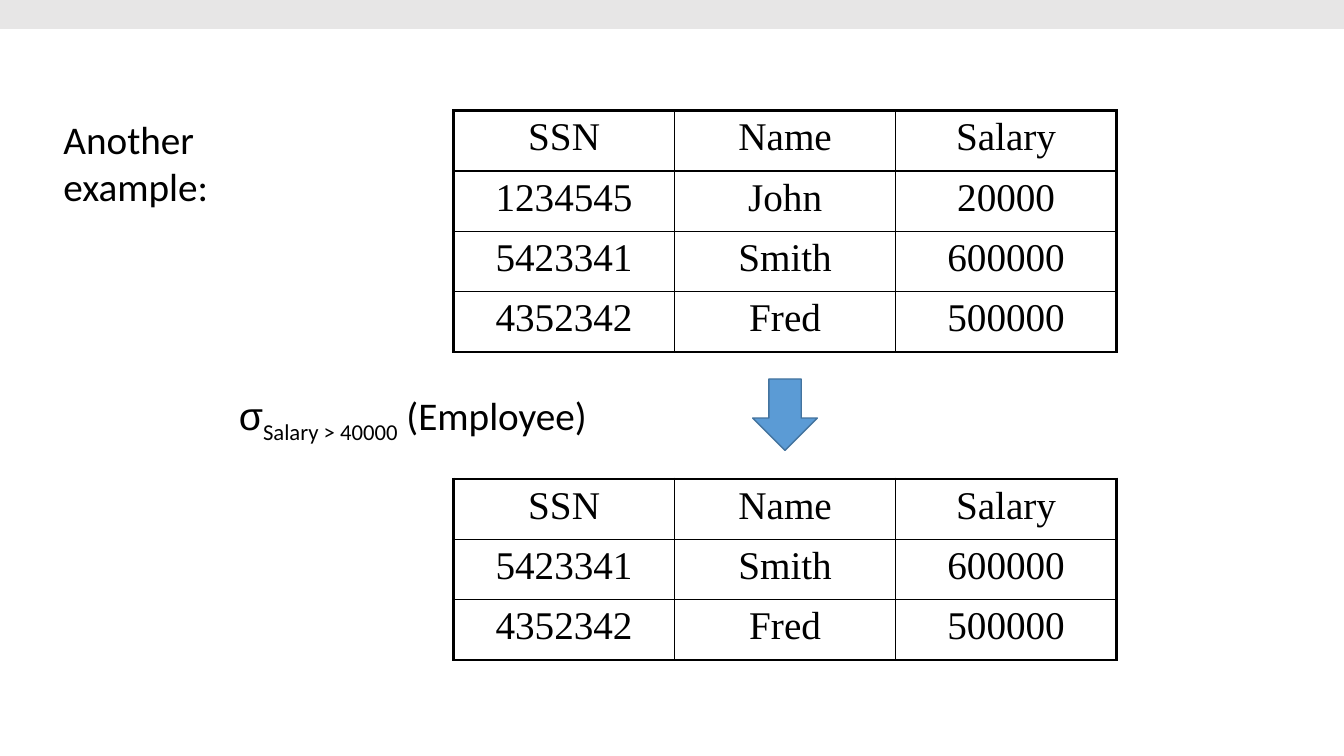
import pptx
import pptx.dml.color
import pptx.enum.shapes
import pptx.enum.text
import pptx.oxml
import pptx.oxml.ns
import pptx.util
from pptx.util import Cm

BLACK = "000000"
COLUMN_WIDTH, ROW_HEIGHT = 5.57, 1.52
THIN, THICK = 1, 2.25


def color(hex_string):
    """Turn a hex string into a colour."""
    return pptx.dml.color.RGBColor.from_string(hex_string)


def add_run(paragraph, text, font_name):
    """Add a black 28 point run to a paragraph and return it."""
    run = paragraph.add_run()
    run.text = text
    font_format = {"name": font_name, "size": pptx.util.Pt(28), "bold": False}
    for name, value in font_format.items():
        setattr(run.font, name, value)
    run.font.color.rgb = color(BLACK)
    return run


presentation = pptx.Presentation()
presentation.slide_width, presentation.slide_height = Cm(33.87), Cm(19.05)
slide = presentation.slides.add_slide(presentation.slide_layouts[6])

# Selection expression
expression_box = slide.shapes.add_textbox(Cm(5.77), Cm(9.73), Cm(9.88), Cm(1.45))
expression_box.text_frame.word_wrap = False
expression = expression_box.text_frame.paragraphs[0]
add_run(expression, "σ", "Arial")
condition = add_run(expression, "Salary > 40000", "Calibri")
condition.font._element.set("baseline", "-25000")
add_run(expression, " (Employee)", "Calibri")

# Employee table before and after the selection
header = ("SSN", "Name", "Salary")
employees = [("1234545", "John", "20000"), ("5423341", "Smith", "600000"), ("4352342", "Fred", "500000")]
selected = [employee for employee in employees if int(employee[2]) > 40000]

for top, records in ((2.79, employees), (12.07, selected)):
    rows = [header] + records
    last_row, last_column = len(rows) - 1, len(header) - 1
    frame = slide.shapes.add_table(
        len(rows), len(header), Cm(11.43), Cm(top),
        Cm(COLUMN_WIDTH * len(header)), Cm(ROW_HEIGHT * len(rows)))
    table = frame.table
    table.first_row = table.horz_banding = False
    for column in table.columns:
        column.width = Cm(COLUMN_WIDTH)
    for row_index, values in enumerate(rows):
        table.rows[row_index].height = Cm(ROW_HEIGHT)
        for column_index, value in enumerate(values):
            cell = table.cell(row_index, column_index)
            paragraph = cell.text_frame.paragraphs[0]
            paragraph.alignment = pptx.enum.text.PP_ALIGN.CENTER
            add_run(paragraph, value, "Times New Roman")
            outer_edges = {
                "lnL": column_index == 0,
                "lnR": column_index == last_column,
                "lnT": row_index == 0,
                "lnB": row_index == last_row,
            }
            properties = cell._tc.get_or_add_tcPr()
            for edge, is_outer in outer_edges.items():
                width = pptx.util.Pt(THICK if is_outer else THIN)
                properties.append(pptx.oxml.parse_xml(
                    f'<a:{edge} {pptx.oxml.ns.nsdecls("a")} w="{width}"><a:solidFill>'
                    f'<a:srgbClr val="{BLACK}"/></a:solidFill></a:{edge}>'))
            cell.fill.background()

# Heading
heading_box = slide.shapes.add_textbox(Cm(1.35), Cm(2.79), Cm(7.5), Cm(1.45))
heading_box.text_frame.word_wrap = True
add_run(heading_box.text_frame.paragraphs[0], "Another example:", "Calibri")

# Arrow between the tables
arrow = slide.shapes.add_shape(
    pptx.enum.shapes.MSO_SHAPE.DOWN_ARROW, Cm(18.97), Cm(9.55), Cm(1.63), Cm(1.8))
arrow.line.color.rgb = color("43739E")
arrow.line.width = pptx.util.Pt(1)

# Band along the top edge
band = slide.shapes.add_shape(
    pptx.enum.shapes.MSO_SHAPE.RECTANGLE, 0, 0, presentation.slide_width, Cm(0.73))
band.line.fill.background()

for shape, fill in ((arrow, "5B9BD5"), (band, "E7E6E6")):
    shape.shadow.inherit = False
    shape.fill.solid()
    shape.fill.fore_color.rgb = color(fill)

presentation.save("out.pptx")
